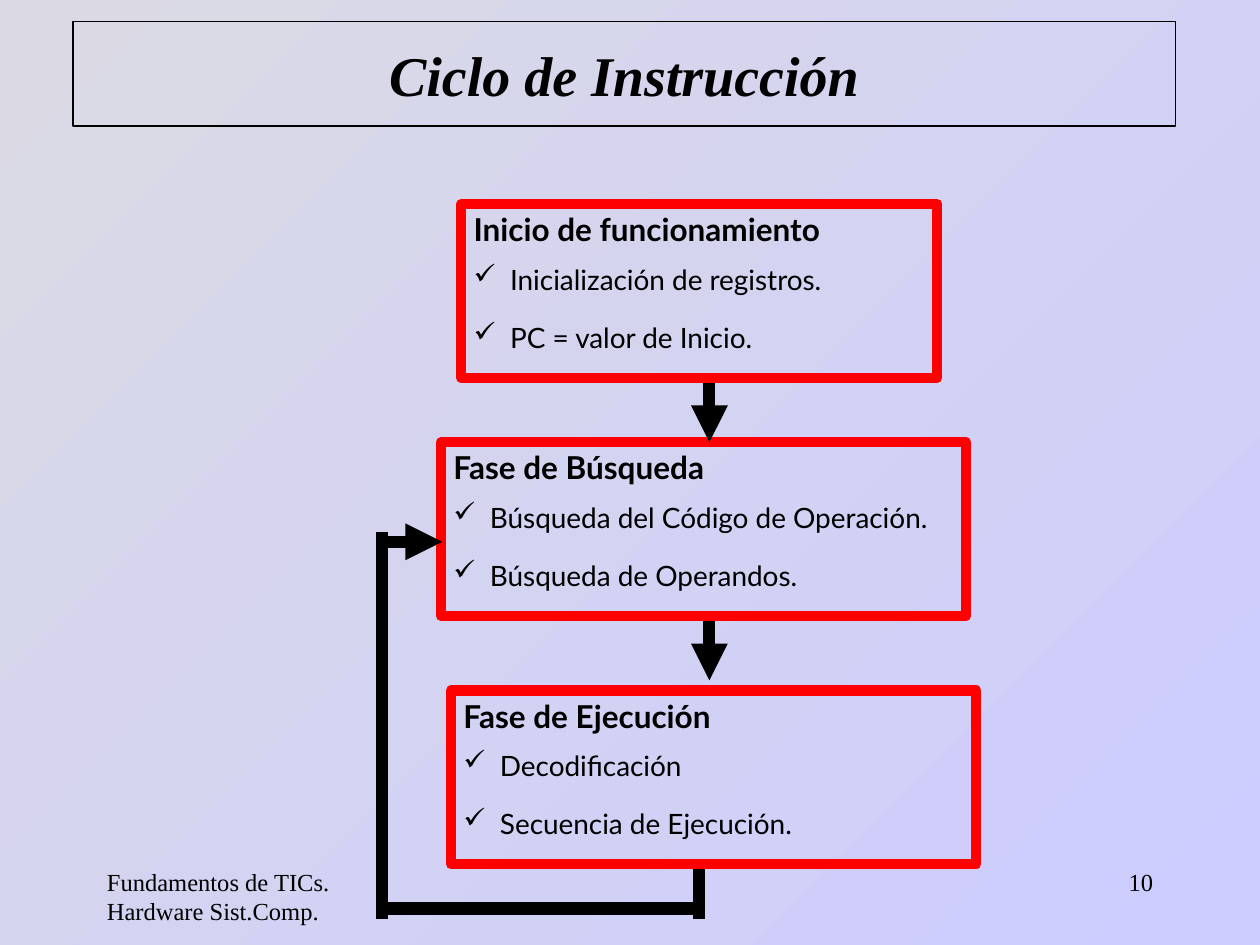
from lxml.etree import SubElement
from pptx import Presentation
from pptx.dml.color import RGBColor
from pptx.enum.shapes import MSO_CONNECTOR, MSO_SHAPE
from pptx.enum.text import MSO_ANCHOR, PP_ALIGN
from pptx.oxml.ns import qn
from pptx.util import Inches, Pt

SERIF, SANS = "Times New Roman", "Lato"
BLACK, RED = "000000", "FF0000"


def color(code):
    return RGBColor.from_string(code)


def write(para, text, **form):
    para.text = text
    para.font.color.rgb = color(BLACK)
    for key, value in form.items():
        setattr(para.font, key, value)


def edge(line, code, width):
    line.color.rgb = color(code)
    line.width = Pt(width)


def check(para):
    """Give the paragraph a hanging check mark."""
    props = para._p.get_or_add_pPr()
    props.set("marL", str(Inches(0.29)))
    props.set("indent", str(-Inches(0.29)))
    SubElement(props, qn("a:buChar"), char="✓")


def backdrop(slide):
    fill = slide.background.fill
    fill.gradient()
    fill.gradient_angle = 315
    for stop, code in zip(fill.gradient_stops, ("DBDAE4", "CCCCFF")):
        stop.color.rgb = color(code)


def title(slide, box, text):
    shape = slide.shapes.title
    shape.left, shape.top, shape.width, shape.height = map(Inches, box)
    edge(shape.line, BLACK, 0.75)
    frame = shape.text_frame
    frame.vertical_anchor = MSO_ANCHOR.MIDDLE
    para = frame.paragraphs[0]
    para.alignment = PP_ALIGN.CENTER
    write(para, text, name=SERIF, size=Pt(32), bold=True, italic=True)


def footer(slide, box, text, align):
    frame = slide.shapes.add_textbox(*map(Inches, box)).text_frame
    frame.word_wrap = True
    para = frame.paragraphs[0]
    para.alignment = align
    write(para, text, name=SERIF, size=Pt(14))


def phase(slide, box, head, items):
    shape = slide.shapes.add_shape(MSO_SHAPE.RECTANGLE, *map(Inches, box))
    shape.shadow.inherit = False
    shape.fill.background()
    edge(shape.line, RED, 5.75)
    frame = shape.text_frame
    frame.word_wrap = True
    frame.vertical_anchor = MSO_ANCHOR.TOP
    para = frame.paragraphs[0]
    para.alignment = PP_ALIGN.LEFT
    write(para, head, name=SANS, size=Pt(18), bold=True)
    for item, gap in zip(items, (8, 14)):
        para = frame.add_paragraph()
        para.alignment = PP_ALIGN.LEFT
        para.space_before = Pt(gap)
        check(para)
        write(para, item, name=SANS, size=Pt(16), bold=False)


def link(shapes, start, end, arrow=False):
    line = shapes.add_connector(
        MSO_CONNECTOR.STRAIGHT, *map(Inches, start + end))
    edge(line.line, BLACK, 7)
    if arrow:
        SubElement(line.line._get_or_add_ln(), qn("a:tailEnd"), type="triangle")
    SubElement(line._element.spPr, qn("a:effectLst"))


def loop(slide, box):
    """Lead from the last phase round the left side back to the search."""
    left, top, width, height = box
    right, base = left + width, top + height
    over = 0.08
    shapes = slide.shapes.add_group_shape().shapes
    link(shapes, (right, 6.9), (right, base + over))
    link(shapes, (right, base), (left, base))
    link(shapes, (left, base + over), (left, top - over))
    link(shapes, (left, top), (3.51, top), arrow=True)


def main():
    deck = Presentation()
    deck.slide_width, deck.slide_height = Inches(10), Inches(7.5)
    slide = deck.slides.add_slide(deck.slide_layouts[5])
    backdrop(slide)
    title(slide, (0.58, 0.17, 8.75, 0.83), "Ciclo de Instrucción")
    footer(slide, (0.75, 6.83, 2.08, 0.5),
           "Fundamentos de TICs. Hardware Sist.Comp.", PP_ALIGN.LEFT)
    footer(slide, (7.17, 6.83, 2.08, 0.5), "10", PP_ALIGN.RIGHT)
    phases = [
        (3.66, 1.62, 3.78, "Inicio de funcionamiento",
         ("Inicialización de registros.", "PC = valor de Inicio.")),
        (3.5, 3.51, 4.17, "Fase de Búsqueda",
         ("Búsqueda del Código de Operación.", "Búsqueda de Operandos.")),
        (3.58, 5.48, 4.17, "Fase de Ejecución",
         ("Decodificación", "Secuencia de Ejecución.")),
    ]
    for left, top, width, head, items in phases:
        phase(slide, (left, top, width, 1.38), head, items)
    for top in (3.04, 4.93):
        link(slide.shapes, (5.63, top), (5.63, top + 0.47), arrow=True)
    loop(slide, (3.03, 4.3, 2.52, 2.91))
    deck.save("out.pptx")


if __name__ == "__main__":
    main()
